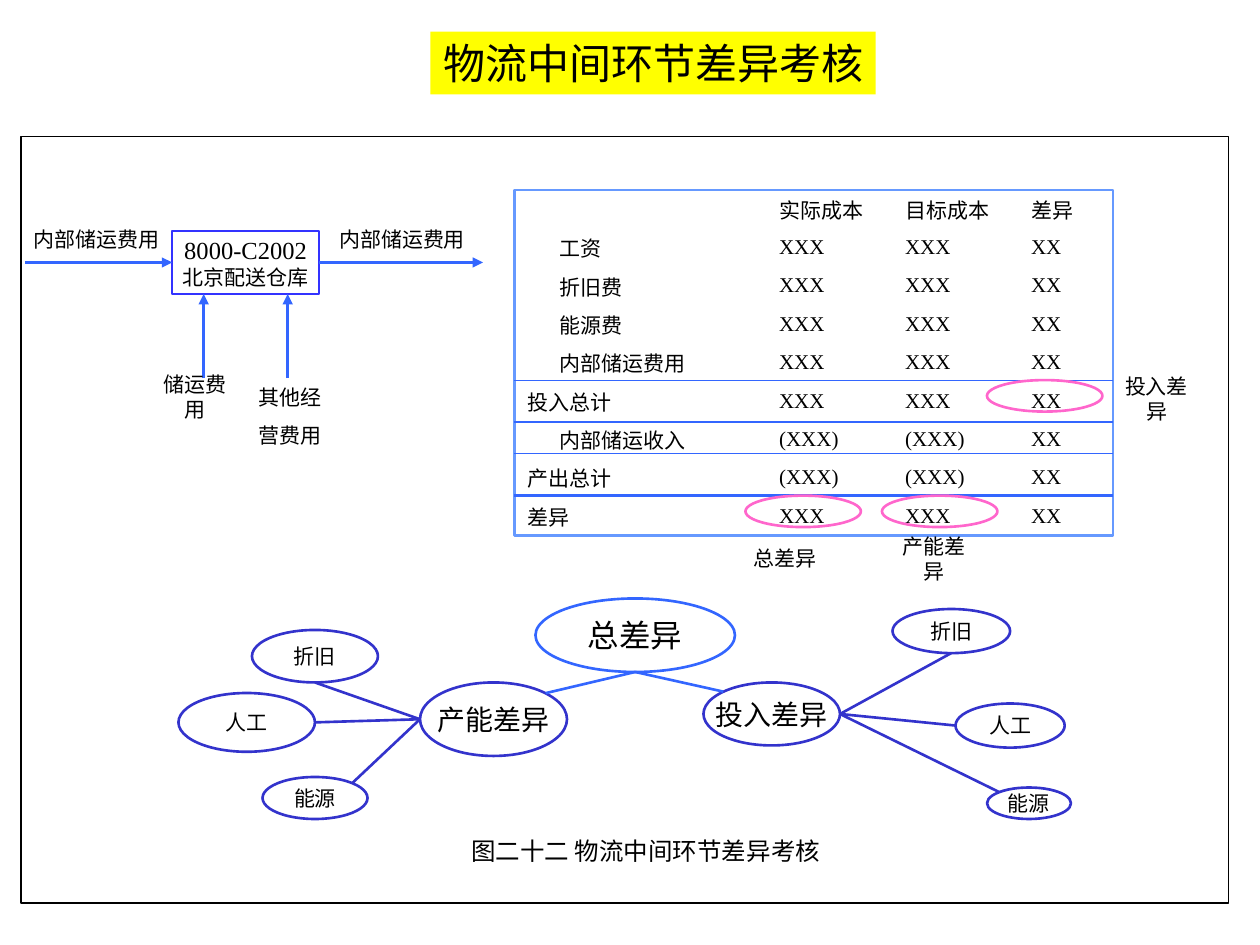
import pptx
import pptx.dml.color
import pptx.enum.shapes
import pptx.enum.text
import pptx.oxml
import pptx.oxml.ns
import pptx.util

GRID = 12  # grid columns and rows to the inch
SERIF, SANS = "Times New Roman", "Noto Sans CJK SC"
BLUE, NAVY, INDIGO, SKY, PINK = "3366FF", "3333CC", "3333FF", "6699FF", "FF66CC"
Shape = pptx.enum.shapes.MSO_SHAPE
Align = pptx.enum.text.PP_ALIGN
MIDDLE = pptx.enum.text.MSO_ANCHOR.MIDDLE


def colour(code):
    return pptx.dml.color.RGBColor.from_string(code)


def units(*lengths):
    return [pptx.util.Inches(length / GRID) for length in lengths]


def within(box, left, top, width=0, height=0):
    """Turn a place relative to box into a place on the slide grid."""
    return box[0] + left, box[1] + top, width, height


def write(frame, lines, align=Align.CENTER, font=SERIF, wrap=False, gap=0):
    """Fill a text frame with (text, size) lines, gap points apart."""
    frame.word_wrap = wrap
    frame.vertical_anchor = MIDDLE
    for number, (text, size) in enumerate(lines):
        para = frame.add_paragraph() if number else frame.paragraphs[0]
        para.alignment = align
        para.space_before = pptx.util.Pt(gap if number else 0)
        span = para.add_run()
        span.text = text
        span.font.size = pptx.util.Pt(size)
        span.font.name = font
        span.font.color.rgb = colour("000000")


def add_outline(slide, kind, place, line, weight=1.5, fill=None, lines=()):
    shape = slide.shapes.add_shape(kind, *units(*place))
    shape.shadow.inherit = False
    if fill:
        shape.fill.solid()
        shape.fill.fore_color.rgb = colour(fill)
    else:
        shape.fill.background()
    shape.line.color.rgb = colour(line)
    shape.line.width = pptx.util.Pt(weight)
    if lines:
        write(shape.text_frame, lines)


def add_line(slide, start, end, code=BLUE, weight=1.5, arrow=False):
    line = slide.shapes.add_connector(
        pptx.enum.shapes.MSO_CONNECTOR.STRAIGHT, *units(*start, *end))
    line.line.color.rgb = colour(code)
    line.line.width = pptx.util.Pt(weight)
    if arrow:
        head = pptx.oxml.parse_xml(
            f'<a:tailEnd {pptx.oxml.ns.nsdecls("a")} type="triangle"/>')
        line.line._get_or_add_ln().append(head)
    line._element.spPr.append(
        pptx.oxml.parse_xml(f'<a:effectLst {pptx.oxml.ns.nsdecls("a")}/>'))


def add_label(slide, place, *texts, size=12, wrap=False):
    box = slide.shapes.add_textbox(*units(*place))
    write(box.text_frame, [(text, size) for text in texts], wrap=wrap, gap=7.5)


def add_title(slide, place, text):
    title = slide.shapes.title
    title.left, title.top, title.width, title.height = units(*place)
    title.fill.solid()
    title.fill.fore_color.rgb = colour("FFFF00")
    write(title.text_frame, [(text, 24)], font=SANS)


def add_cost_flow(slide, box):
    """Warehouse cost centre with the costs that enter and leave it."""
    add_outline(slide, Shape.RECTANGLE, within(box, 14.4, 1, 14, 6), INDIGO, 1,
                lines=[("8000-C2002", 14), ("北京配送仓库", 12)])
    for start, end in [((0.4, 4), (14.4, 4)), ((28.4, 4), (44, 4)),
                       ((17.4, 15), (17.4, 7)), ((25.4, 15), (25.4, 7))]:
        add_line(slide, within(box, *start)[:2], within(box, *end)[:2], arrow=True)
    for left in (0, 29.1):
        add_label(slide, within(box, left, 0, 14.4, 3.6), "内部储运费用")
    add_label(slide, within(box, 11.4, 15, 10.3, 3.6), "储运费用")
    add_label(slide, within(box, 21.4, 15, 8.4, 7.3), "其他经", "营费用")


def add_cost_statement(slide, box):
    """Table of actual and target costs with its rules and marked variances."""
    plain, credit = ("XXX", "XXX", "XX"), ("(XXX)", "(XXX)", "XX")
    rows = [("", "实际成本", "目标成本", "差异"), ("工资", *plain),
            ("折旧费", *plain), ("能源费", *plain), ("内部储运费用", *plain),
            ("投入总计", *plain), ("内部储运收入", *credit),
            ("产出总计", *credit), ("差异", *plain)]
    totals = ("投入总计", "产出总计", "差异")
    table = slide.shapes.add_table(len(rows), 4, *units(*box)).table
    table.first_row = table.horz_banding = False
    for column, width in zip(table.columns, units(24, 12, 12, 9)):
        column.width = width
    for row, texts in zip(table.rows, rows):
        row.height = units(box[3] / len(rows))[0]
        for index, (cell, text) in enumerate(zip(row.cells, texts)):
            cell.fill.background()
            cell.vertical_anchor = MIDDLE
            cell.margin_top = cell.margin_bottom = cell.margin_right = 0
            indented = index == 0 and text not in totals
            cell.margin_left = pptx.util.Inches(0.36 if indented else 0.1)
            write(cell.text_frame, [(text, 12)], Align.LEFT, wrap=True)

    add_outline(slide, Shape.RECTANGLE, box, SKY)
    for top, weight in [(18.1, 0.5), (22.1, 1.5), (25.1, 0.5), (29.1, 1.5)]:
        add_line(slide, within(box, 0, top)[:2], within(box, box[2], top)[:2],
                 weight=weight)
    for left, top in [(22, 29.1), (45, 18.1), (35, 29.1)]:
        add_outline(slide, Shape.OVAL, within(box, left, top, 11, 3), PINK)
    for text, place in [("总差异", (21.6, 33.3, 8.4, 3.6)),
                        ("产能差异", (34.8, 33.3, 10.3, 3.6)),
                        ("投入差异", (56, 18.1, 10.3, 3.6))]:
        add_label(slide, within(box, *place), text)


def rim(place, across, down):
    """Point on an ellipse, in shares of its half width and half height."""
    left, top, width, height = place
    return left + width * (1 + across) / 2, top + height * (1 + down) / 2


def add_variance_tree(slide, box):
    """Total variance split into two hubs, each with three causes."""
    diagonal = 0.71
    root = within(box, 34, 0, 19, 7)
    hubs = [
        ("产能差异", (23, 8, 14, 7), -1,
         [("折旧", (7, 3, 12, 5), (0, 1)),
          ("人工", (0, 9, 13, 5.6), (1, 0)),
          ("能源", (8, 17, 10, 4), (diagonal, -diagonal))]),
        ("投入差异", (50, 8, 13, 6), 1,
         [("折旧", (68, 1, 11.2, 4.2), (0, 1)),
          ("人工", (74, 10, 10.4, 4.2), (-1, 0)),
          ("能源", (77, 18, 8, 3), (-diagonal, -diagonal))]),
    ]
    add_outline(slide, Shape.OVAL, root, BLUE, fill="FFFFFF", lines=[("总差异", 18)])
    for name, place, side, causes in hubs:
        hub = within(box, *place)
        add_outline(slide, Shape.OVAL, hub, NAVY, fill="FFFFFF", lines=[(name, 16)])
        add_line(slide, rim(root, 0, 1), rim(hub, -side * diagonal, -diagonal))
        for cause, spot, site in causes:
            leaf = within(box, *spot)
            add_outline(slide, Shape.OVAL, leaf, NAVY, fill="FFFFFF",
                        lines=[(cause, 12)])
            add_line(slide, rim(hub, side, 0), rim(leaf, *site), NAVY)


def main():
    deck = pptx.Presentation()
    deck.slide_width, deck.slide_height = units(120, 90)
    slide = deck.slides.add_slide(deck.slide_layouts[5])
    add_title(slide, (41, 3, 42.4, 6), "物流中间环节差异考核")
    add_outline(slide, Shape.RECTANGLE, (2, 13, 115, 73), "000000", 1, "FFFFFF")
    add_variance_tree(slide, (17, 57, 85, 21))
    add_cost_statement(slide, (49, 18.1, 57, 32.9))
    add_cost_flow(slide, (2, 21, 44, 22))
    add_label(slide, (39, 79, 45, 4.1), "图二十二 物流中间环节差异考核",
              size=14, wrap=True)
    deck.save("out.pptx")


if __name__ == "__main__":
    main()
